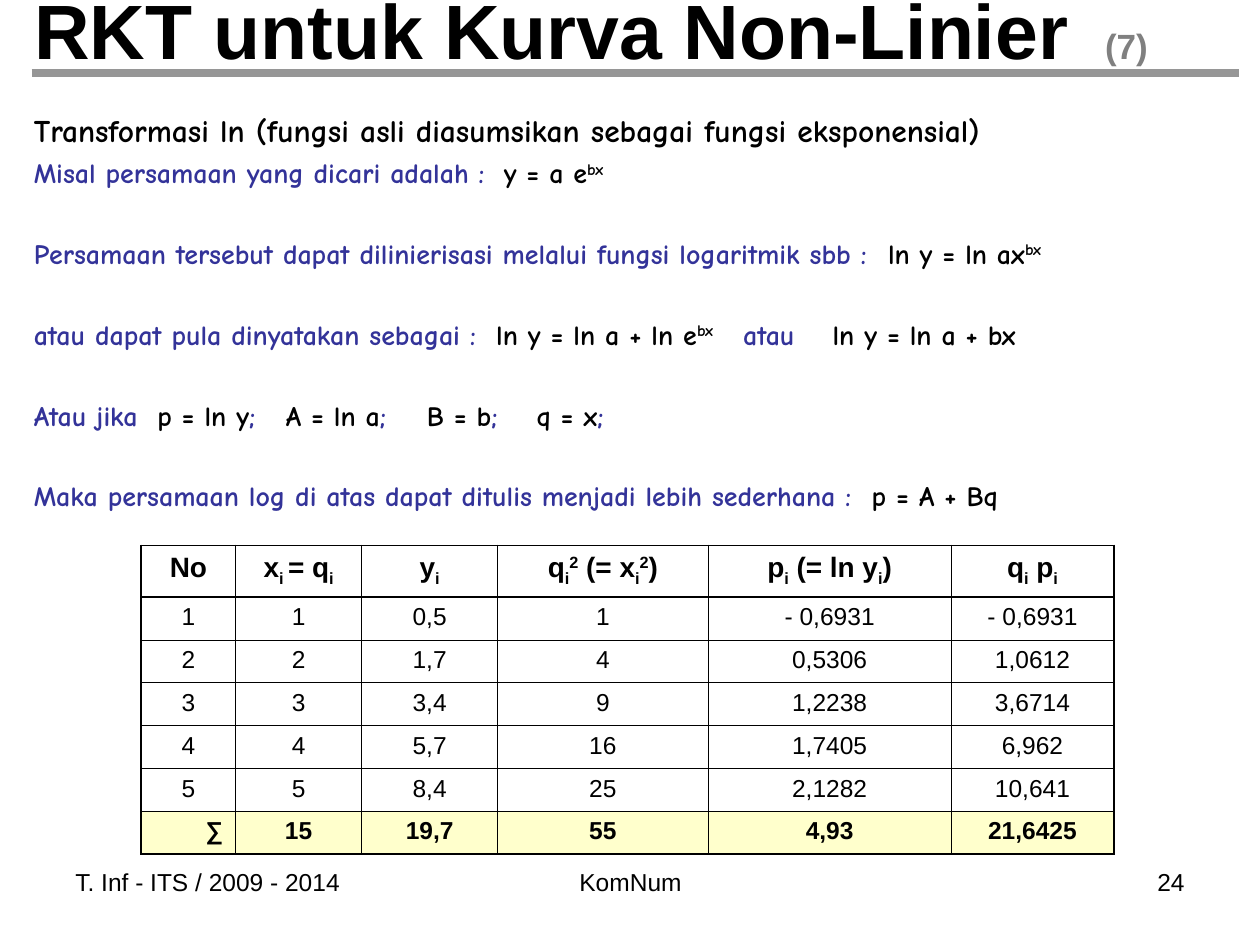
from lxml import etree
from pptx import Presentation
from pptx import util as u
from pptx.dml import color
from pptx.enum import shapes, text
from pptx.oxml import ns

COLORS = dict(black="000000", blue="333399", gray="808080", rule="969696", total="FFFFCC")
LEFT, CENTER, RIGHT = text.PP_ALIGN.LEFT, text.PP_ALIGN.CENTER, text.PP_ALIGN.RIGHT
SUP, SUB, BLUE = dict(base=30000), dict(base=-25000), dict(c="blue")
THIN, OUTER, HEAD = 0.45, 1.08, 1.47


def rgb(name):
    return color.RGBColor.from_string(COLORS[name])


def put(p, runs, align=LEFT, before=0, tabs=(), **style):
    p.alignment = align
    p.space_before = u.Pt(before)
    if tabs:
        tab_list = etree.SubElement(p._p.get_or_add_pPr(), ns.qn("a:tabLst"))
        for pos in tabs:
            etree.SubElement(tab_list, ns.qn("a:tab"), pos=str(u.Inches(pos)), algn="l")
    for run in [runs] if isinstance(runs, str) else runs:
        words, own = (run, {}) if isinstance(run, str) else run
        fmt = dict(size=14, font="Arial", c="black", bold=False, base=0) | style | own
        r = p.add_run()
        r.text = words
        r.font.size = u.Pt(fmt["size"])
        r.font.name = fmt["font"]
        r.font.bold = fmt["bold"]
        r.font.color.rgb = rgb(fmt["c"])
        if fmt["base"]:
            r.font._element.set("baseline", str(fmt["base"]))


class Slide:
    def __init__(self, prs):
        self.s = prs.slides.add_slide(prs.slide_layouts[5])

    def title(self, box, runs, **fmt):
        sp = self.s.shapes.title
        sp.left, sp.top, sp.width, sp.height = (u.Inches(v) for v in box)
        tf = sp.text_frame
        tf.auto_size = text.MSO_AUTO_SIZE.NONE
        tf.vertical_anchor = text.MSO_ANCHOR.MIDDLE
        put(tf.paragraphs[0], runs, **fmt)

    def rule(self, x1, x2, y):
        cx = self.s.shapes.add_connector(
            shapes.MSO_CONNECTOR.STRAIGHT, u.Inches(x1), u.Inches(y), u.Inches(x2), u.Inches(y))
        cx.line.color.rgb = rgb("rule")
        cx.line.width = u.Pt(4.5)
        etree.SubElement(cx._element.spPr, ns.qn("a:effectLst"))

    def textbox(self, box, paragraphs):
        tf = self.s.shapes.add_textbox(*(u.Inches(v) for v in box)).text_frame
        tf.word_wrap = True
        for i, (runs, fmt) in enumerate(paragraphs):
            put(tf.add_paragraph() if i else tf.paragraphs[0], runs, **fmt)

    def borders(self, cell, widths):
        tc_pr = cell._tc.get_or_add_tcPr()
        for i, (side, width) in enumerate(zip("LRTB", widths)):
            ln = etree.Element(ns.qn(f"a:ln{side}"), w=str(u.Pt(width)))
            fill = etree.SubElement(ln, ns.qn("a:solidFill"))
            etree.SubElement(fill, ns.qn("a:srgbClr"), val=COLORS["black"])
            tc_pr.insert(i, ln)

    def table(self, left, top, cols, heights, rows):
        table = self.s.shapes.add_table(
            len(rows), len(cols), u.Inches(left), u.Inches(top),
            u.Inches(sum(cols)), u.Inches(sum(heights))).table
        table.first_row = table.horz_banding = False
        for col, width in zip(table.columns, cols):
            col.width = u.Inches(width)
        for row, height in zip(table.rows, heights):
            row.height = u.Inches(height)
        last, right = len(rows) - 1, len(cols) - 1
        for i, row in enumerate(rows):
            for j, runs in enumerate(row):
                cell = table.cell(i, j)
                cell.margin_left = cell.margin_right = u.Inches(0.1)
                cell.margin_top = cell.margin_bottom = u.Inches(0.05)
                if i == last:
                    cell.fill.solid()
                    cell.fill.fore_color.rgb = rgb("total")
                else:
                    cell.fill.background()
                put(cell.text_frame.paragraphs[0], runs,
                    align=RIGHT if (i, j) == (last, 0) else CENTER,
                    before=3.5 if i else 4, size=14 if i else 16, bold=i in (0, last))
                self.borders(cell, (
                    OUTER if j == 0 else THIN,
                    OUTER if j == right else THIN,
                    {0: OUTER, 1: HEAD}.get(i, THIN),
                    {0: HEAD, last: OUTER}.get(i, THIN)))


def main():
    prs = Presentation()
    prs.slide_width, prs.slide_height = u.Inches(10), u.Inches(7.5)
    slide = Slide(prs)

    for left, width, words, align in (
            (0.5, 2.33, "T. Inf - ITS / 2009 - 2014", LEFT),
            (3.42, 3.17, "KomNum", CENTER),
            (7.17, 2.33, "24", RIGHT)):
        slide.textbox((left, 6.83, width, 0.52), [(words, dict(align=align))])

    slide.title((0.17, 0, 9.25, 0.45),
                ["RKT untuk Kurva Non-Linier", ("\t(7)", dict(size=20, c="gray"))],
                size=44, bold=True, tabs=[8.5])
    slide.rule(0.25, 9.83, 0.58)

    body = dict(font="Comic Neue", bold=True)
    first = body | dict(size=16, before=4)
    step = body | dict(size=16, before=27)
    slide.textbox((0.17, 0.83, 9.67, 3.33), [
        ("Transformasi ln (fungsi asli diasumsikan sebagai fungsi eksponensial)",
         body | dict(size=18, before=4.5)),
        ([("Misal persamaan yang dicari adalah :", BLUE), "\ty = a e", ("bx", SUP)],
         first | dict(tabs=[3.73])),
        ([("Persamaan tersebut dapat dilinierisasi melalui fungsi logaritmik sbb :", BLUE),
          "\tln y = ln ax", ("bx", SUP)], step | dict(tabs=[6.78])),
        ([("atau dapat pula dinyatakan sebagai :", BLUE), "\tln y = ln a + ln e", ("bx", SUP),
          ("\tatau", BLUE), "\tln y = ln a + bx"], step | dict(tabs=[3.67, 5.63, 6.34])),
        ([("Atau jika", BLUE), "\tp = ln y", (";", BLUE), "\tA = ln a", (";", BLUE),
          "\tB = b", (";", BLUE), "\tq = x", (";", BLUE)],
         step | dict(tabs=[0.98, 2, 3.12, 3.99])),
        ([("Maka persamaan log di atas dapat ditulis menjadi lebih sederhana :", BLUE),
          "\tp = A + Bq"], step | dict(tabs=[6.65])),
    ])

    i, sq = ("i", SUB), ("2", SUP)
    slide.table(1.12, 4.33, [0.75, 1, 1.08, 1.67, 1.93, 1.29], [0.41] + [0.34] * 6, [
        ["No", ["x", ("i ", SUB), "= q", i], ["y", i], ["q", i, sq, " (= x", i, sq, ")"],
         ["p", i, " (= ln y", i, ")"], ["q", i, " p", i]],
        ["1", "1", "0,5", "1", "- 0,6931", "- 0,6931"],
        ["2", "2", "1,7", "4", "0,5306", "1,0612"],
        ["3", "3", "3,4", "9", "1,2238", "3,6714"],
        ["4", "4", "5,7", "16", "1,7405", "6,962"],
        ["5", "5", "8,4", "25", "2,1282", "10,641"],
        ["∑", "15", "19,7", "55", "4,93", "21,6425"],
    ])
    prs.save("out.pptx")


if __name__ == "__main__":
    main()
